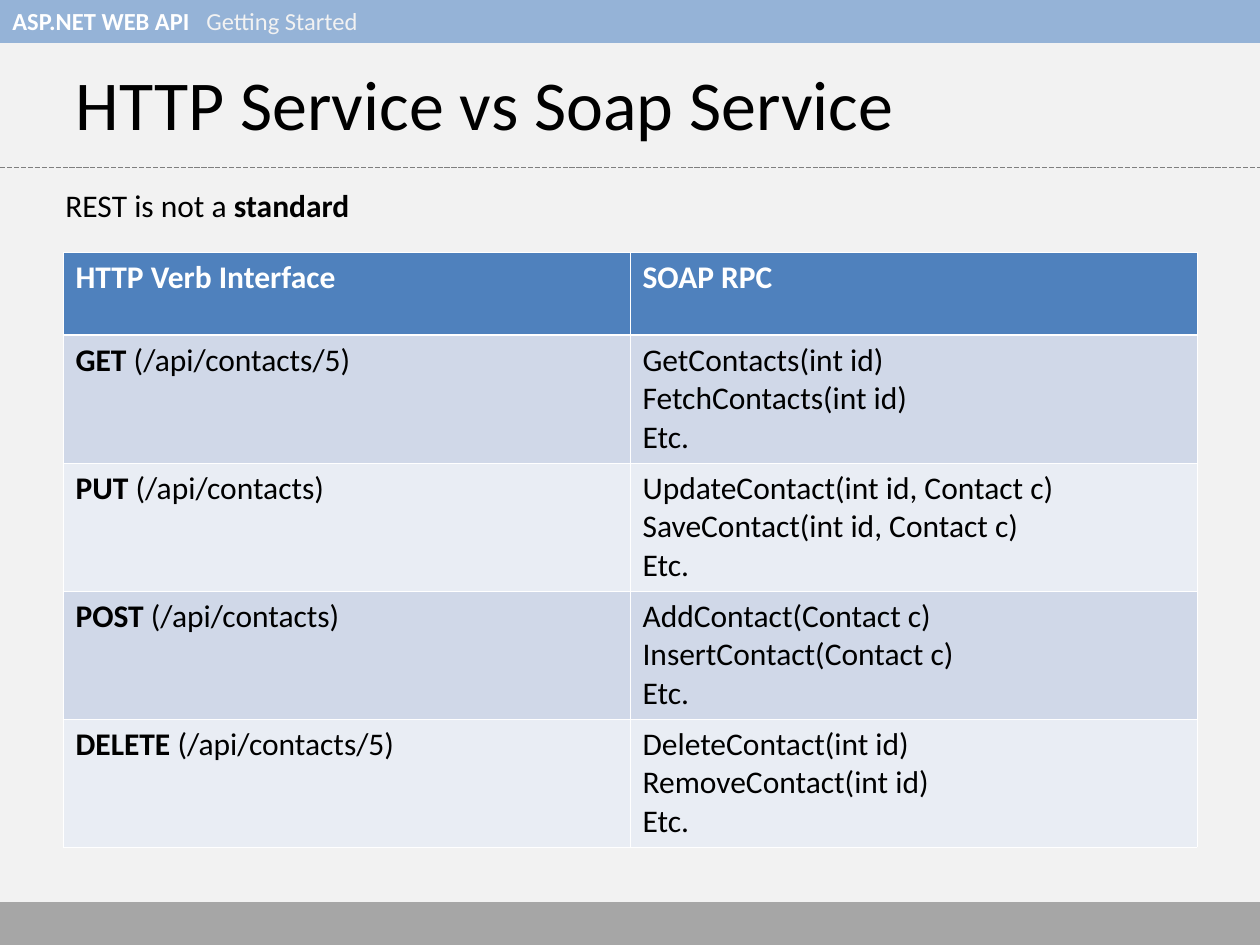
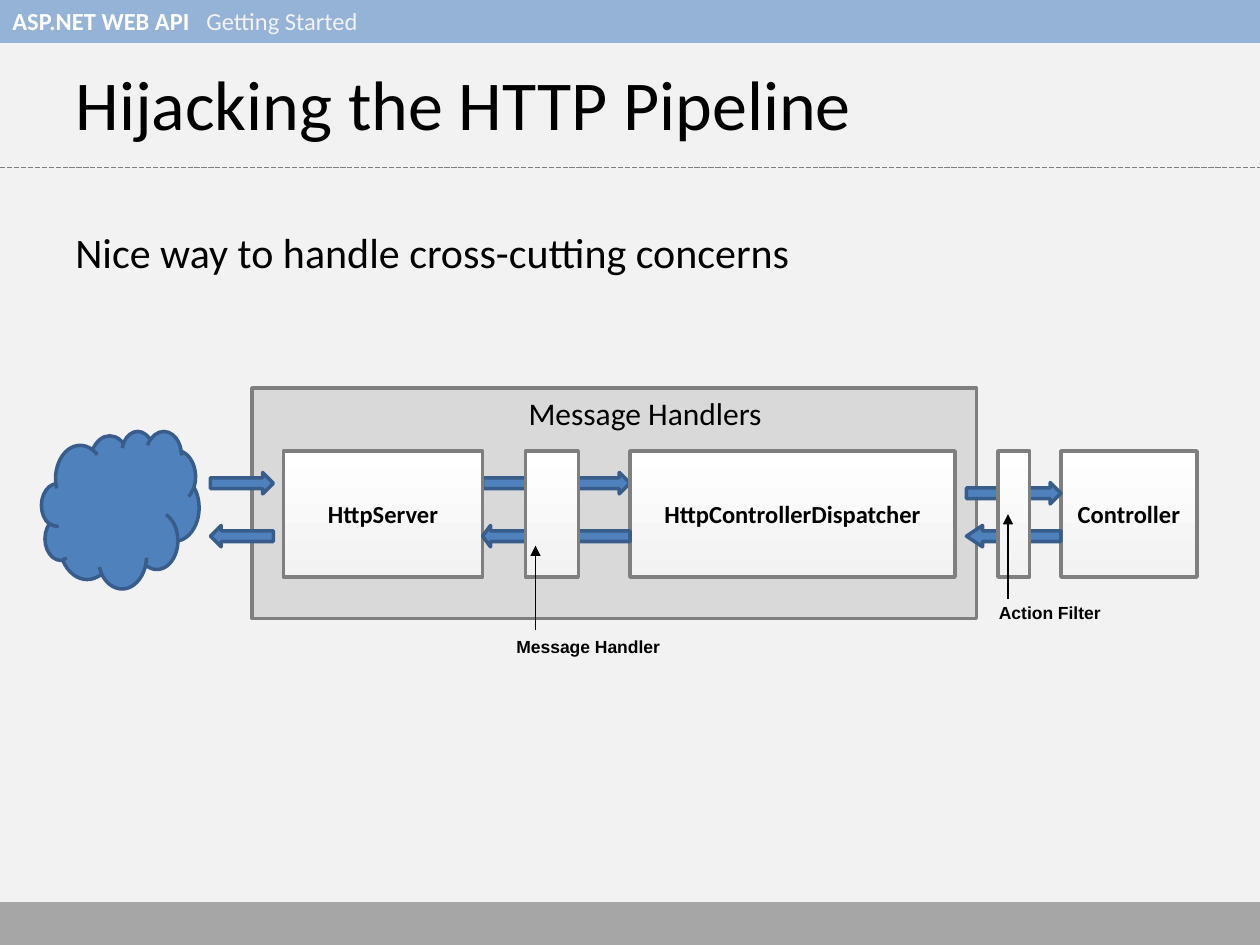
from lxml import etree
from pptx import Presentation
from pptx.dml.color import RGBColor
from pptx.enum.dml import MSO_LINE
from pptx.enum.shapes import MSO_CONNECTOR, MSO_SHAPE
from pptx.enum.text import MSO_ANCHOR as ANCHOR, MSO_AUTO_SIZE as AUTO_SIZE, PP_ALIGN as ALIGN
from pptx.oxml.ns import qn
from pptx.util import Inches, Pt

COLORS = {
    "page": "F2F2F2", "header": "95B3D7", "footer": "A6A6A6", "rule": "7F7F7F",
    "white": "FFFFFF", "black": "000000", "blue": "4F81BD", "blue_edge": "385D8A",
    "panel": "D9D9D9", "band_dark": "D0D8E8", "band_light": "E9EDF4",
}
BODY_FONT, LABEL_FONT = "Calibri", "Arial"
SLIDE_WIDTH, SLIDE_HEIGHT, BAND_HEIGHT = 10, 7.5, 0.34

VERBS = [
    ("GET", "/api/contacts/5", ["GetContacts(int id)", "FetchContacts(int id)"]),
    ("PUT", "/api/contacts",
     ["UpdateContact(int id, Contact c)", "SaveContact(int id, Contact c)"]),
    ("POST", "/api/contacts", ["AddContact(Contact c)", "InsertContact(Contact c)"]),
    ("DELETE", "/api/contacts/5", ["DeleteContact(int id)", "RemoveContact(int id)"]),
]


def rgb(name):
    return RGBColor.from_string(COLORS[name])


def inches(*lengths):
    return [Inches(length) for length in lengths]


def add_run(paragraph, text, size, bold=False, color="black", font=BODY_FONT):
    run = paragraph.add_run()
    run.text = text
    run.font.name, run.font.size, run.font.bold = font, Pt(size), bold
    run.font.color.rgb = rgb(color)


def add_text(slide, box, runs, size, align=ALIGN.LEFT, font=BODY_FONT):
    """Add a one-paragraph text box; runs are (text, bold) pairs."""
    frame = slide.shapes.add_textbox(*inches(*box)).text_frame
    frame.word_wrap = True
    paragraph = frame.paragraphs[0]
    paragraph.alignment = align
    for text, bold in runs:
        add_run(paragraph, text, size, bold, font=font)
    return paragraph


def add_block(slide, preset, box, fill, edge=None):
    """Add a flat shape; a pair of fill colours runs from top to bottom."""
    block = slide.shapes.add_shape(preset, *inches(*box))
    block.shadow.inherit = False
    if isinstance(fill, tuple):
        block.fill.gradient()
        block.fill.gradient_angle = 270
        for stop, color in zip(block.fill.gradient_stops, fill):
            stop.color.rgb = rgb(color)
    else:
        block.fill.solid()
        block.fill.fore_color.rgb = rgb(fill)
    if edge:
        block.line.color.rgb = rgb(edge)
        block.line.width = Pt(2)
    else:
        block.line.fill.background()
    return block


def add_line(slide, start, end, color, width):
    line = slide.shapes.add_connector(MSO_CONNECTOR.STRAIGHT, *inches(*start, *end))
    line.line.color.rgb = rgb(color)
    line.line.width = Pt(width)
    etree.SubElement(line._element.spPr, qn("a:effectLst"))
    return line


def add_header(slide, box):
    band = add_block(slide, MSO_SHAPE.RECTANGLE, box, "header")
    frame = band.text_frame
    frame.vertical_anchor = ANCHOR.TOP
    paragraph = frame.paragraphs[0]
    paragraph.alignment = ALIGN.LEFT
    tabs = etree.SubElement(paragraph._p.get_or_add_pPr(), qn("a:tabLst"))
    etree.SubElement(tabs, qn("a:tab"), pos=str(Inches(1.54)), algn="l")
    add_run(paragraph, "ASP.NET WEB API\t", 14, True, "white")
    add_run(paragraph, "Getting Started", 14, False, "page")


def add_titled_slide(prs, title):
    slide = prs.slides.add_slide(prs.slide_layouts[5])
    footer_top = SLIDE_HEIGHT - BAND_HEIGHT
    add_block(slide, MSO_SHAPE.RECTANGLE,
              (0, footer_top, SLIDE_WIDTH, BAND_HEIGHT), "footer")
    add_header(slide, (0, 0, SLIDE_WIDTH, BAND_HEIGHT))
    rule = add_line(slide, (0, 1.33), (SLIDE_WIDTH, 1.33), "rule", 1)
    rule.line.dash_style = MSO_LINE.SQUARE_DOT

    heading = slide.shapes.title
    heading.left, heading.top, heading.width, heading.height = inches(0.5, 0.3, 9, 1.03)
    frame = heading.text_frame
    frame.auto_size = AUTO_SIZE.NONE
    frame.vertical_anchor = ANCHOR.MIDDLE
    frame.paragraphs[0].alignment = ALIGN.LEFT
    add_run(frame.paragraphs[0], title, 40)
    return slide


def format_cell(cell, fill, heavy_side=None):
    """Give a cell white borders, one of them heavier, and then its fill."""
    properties = cell._tc.get_or_add_tcPr()
    for side in ("lnL", "lnR", "lnT", "lnB"):
        width = 1.47 if side == heavy_side else 0.45
        border = etree.SubElement(properties, qn(f"a:{side}"), w=str(Pt(width)))
        paint = etree.SubElement(border, qn("a:solidFill"))
        etree.SubElement(paint, qn("a:srgbClr"), val=COLORS["white"])
    cell.fill.solid()
    cell.fill.fore_color.rgb = rgb(fill)


def add_verb_table(slide, box):
    left, top, width, height = box
    header_height = 0.66
    table = slide.shapes.add_table(len(VERBS) + 1, 2, *inches(*box)).table
    table.first_row = table.horz_banding = False
    for column in table.columns:
        column.width = Inches(width / 2)
    for row in table.rows:
        row.height = Inches((height - header_height) / len(VERBS))
    table.rows[0].height = Inches(header_height)

    for column, heading in enumerate(("HTTP Verb Interface", "SOAP RPC")):
        cell = table.cell(0, column)
        format_cell(cell, "blue", "lnB")
        add_run(cell.text_frame.paragraphs[0], heading, 18, True, "white")

    for row, (verb, route, calls) in enumerate(VERBS, start=1):
        verb_cell, calls_cell = table.cell(row, 0), table.cell(row, 1)
        for cell in (verb_cell, calls_cell):
            format_cell(cell, "band_dark" if row % 2 else "band_light",
                        "lnT" if row == 1 else None)
        paragraph = verb_cell.text_frame.paragraphs[0]
        add_run(paragraph, verb, 18, True)
        add_run(paragraph, f" ({route})", 18)
        frame = calls_cell.text_frame
        for index, call in enumerate(calls + ["Etc."]):
            paragraph = frame.add_paragraph() if index else frame.paragraphs[0]
            add_run(paragraph, call, 18)


def add_stage(slide, box, name=None):
    stage = add_block(slide, MSO_SHAPE.RECTANGLE, box, ("white", "page"), "rule")
    if name:
        frame = stage.text_frame
        frame.vertical_anchor = ANCHOR.MIDDLE
        frame.paragraphs[0].alignment = ALIGN.CENTER
        add_run(frame.paragraphs[0], name, 14, True)


def add_flow(slide, left, top, width, back=False, head=0.5):
    """Add a block arrow for a request, or turned round for a response."""
    flow = add_block(slide, MSO_SHAPE.RIGHT_ARROW, (left, top, width, 0.17),
                     "blue", "blue_edge")
    flow.adjustments[0], flow.adjustments[1] = 0.5, head
    flow.rotation = 180 if back else 0


def add_pointer(slide, x, bottom):
    pointer = add_line(slide, (x, bottom), (x, bottom - 0.67), "black", 0.75)
    etree.SubElement(pointer.line._get_or_add_ln(), qn("a:tailEnd"), type="triangle")


def add_pipeline(slide, box):
    left, top, width, height = box
    stage_top, stage_height = top + 0.5, 1
    request_top, response_top = top + 0.67, top + 1.09
    server_left, server_width = left + 1.92, 1.58
    server_right = server_left + server_width
    dispatcher_left, dispatcher_width = left + 4.67, 2.58
    handler_gap = dispatcher_left - server_right
    controller_width = 1.08
    controller_left = left + width - controller_width
    filter_gap = 0.75
    filter_flow_left = controller_left - filter_gap

    add_block(slide, MSO_SHAPE.CLOUD, (left, top + 0.34, 1.25, 1.25), "blue", "blue_edge")
    add_block(slide, MSO_SHAPE.RECTANGLE, (left + 1.67, top, 5.75, height), "panel", "rule")
    add_text(slide, (left + 1.75, top, 6.08, 0.4), [("Message Handlers", False)], 18,
             ALIGN.CENTER)

    add_flow(slide, server_right, request_top, handler_gap)
    for stage_left, stage_width, name in (
        (server_left, server_width, "HttpServer"),
        (dispatcher_left, dispatcher_width, "HttpControllerDispatcher"),
        (controller_left, controller_width, "Controller"),
    ):
        add_stage(slide, (stage_left, stage_top, stage_width, stage_height), name)

    add_flow(slide, left + 1.34, request_top, 0.5)
    add_flow(slide, left + 1.34, response_top, 0.5, back=True)
    add_flow(slide, server_right, response_top, handler_gap, back=True, head=0.37)
    add_flow(slide, filter_flow_left, top + 0.75, filter_gap)
    add_flow(slide, filter_flow_left, response_top, filter_gap, back=True, head=0.75)

    for x, interceptor_width in ((left + 3.84, 0.42), (left + 7.59, 0.25)):
        add_stage(slide, (x, stage_top, interceptor_width, stage_height))

    for name, label_left, label_top, label_width, pointer_x, pointer_bottom in (
        ("Action Filter", 7.5, 1.65, 1.17, 7.67, 1.67),
        ("Message Handler", 3.67, 1.92, 1.42, 3.92, 1.92),
    ):
        add_text(slide, (left + label_left, top + label_top, label_width, 0.27),
                 [(name, True)], 10, font=LABEL_FONT)
        add_pointer(slide, left + pointer_x, top + pointer_bottom)


def build_comparison(prs):
    slide = add_titled_slide(prs, "HTTP Service vs Soap Service")
    add_verb_table(slide, (0.5, 2, 9, 4.66))
    add_text(slide, (0.42, 1.43, 8.75, 0.4),
             [("REST is not a ", False), ("standard", True)], 18)


def build_hijacking(prs):
    slide = add_titled_slide(prs, "Hijacking the HTTP Pipeline")
    add_pipeline(slide, (0.33, 3.08, 9.17, 1.83))
    message = add_text(slide, (0.5, 1.75, 9, 0.6),
                       [("Nice way to handle cross-cutting concerns", False)], 24)
    properties = message._p.get_or_add_pPr()
    properties.set("marL", str(Inches(0.38)))
    properties.set("indent", str(Inches(-0.38)))


def main():
    prs = Presentation()
    prs.slide_width, prs.slide_height = inches(SLIDE_WIDTH, SLIDE_HEIGHT)
    background = prs.slide_master.background.fill
    background.solid()
    background.fore_color.rgb = rgb("page")
    build_comparison(prs)
    build_hijacking(prs)
    prs.save("out.pptx")


if __name__ == "__main__":
    main()
